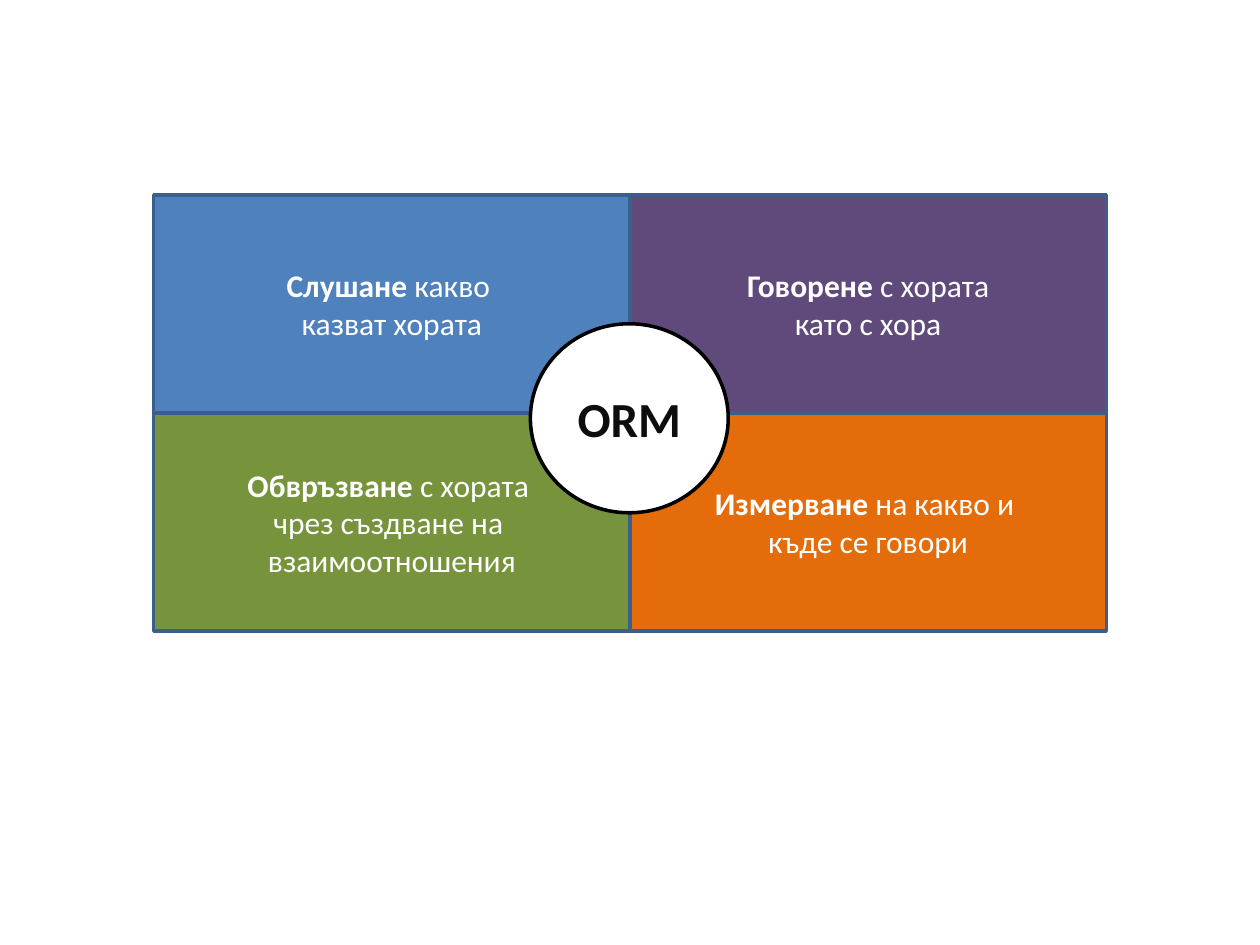
from dataclasses import dataclass

from pptx import Presentation
from pptx.dml.color import RGBColor
from pptx.enum.shapes import MSO_SHAPE
from pptx.enum.text import MSO_ANCHOR, PP_ALIGN
from pptx.util import Inches, Pt

QUADRANT = MSO_SHAPE.ROUNDED_RECTANGLE
HUB = MSO_SHAPE.OVAL
MIDDLE = MSO_ANCHOR.MIDDLE
CENTER = PP_ALIGN.CENTER
BLANK_LAYOUT = 6


@dataclass(frozen=True)
class Theme:
    font: str = "Calibri"
    body_size: int = 18
    hub_size: int = 28
    line_width: int = 2
    white: str = "FFFFFF"
    black: str = "000000"
    hub_text: str = "0D0D0D"
    border: str = "3A5F8C"
    blue: str = "4F81BD"
    purple: str = "604A7B"
    green: str = "77933C"
    orange: str = "E46C0A"


THEME = Theme()

# Matrix grid, in inches
LEFT, TOP = 1.22, 1.55
COLUMN, ROW = 3.78, 1.73
HUB_BOX = (4.21, 2.57, 1.57, 1.5)

# Column, row, fill, lines of (text, bold) runs
QUADRANTS = [
    (0, 0, THEME.blue, [[("Слушане", True), (" какво ", False)],
                        [("казват хората", False)]]),
    (1, 0, THEME.purple, [[("Говорене ", True), ("с хората", False)],
                          [("като с хора", False)]]),
    (0, 1, THEME.green, [[("Обвръзване ", True), ("с хората ", False)],
                         [("чрез създване на ", False)],
                         [("взаимоотношения", False)]]),
    (1, 1, THEME.orange, [[("Измерване", True), (" на какво и ", False)],
                          [("къде се говори", False)]]),
]


def add_panel(slide, kind, box, fill, border):
    """Add a filled, outlined shape without a shadow."""
    panel = slide.shapes.add_shape(kind, *map(Inches, box))
    panel.shadow.inherit = False
    panel.fill.solid()
    panel.fill.fore_color.rgb = RGBColor.from_string(fill)
    panel.line.color.rgb = RGBColor.from_string(border)
    panel.line.width = Pt(THEME.line_width)
    return panel


def write_lines(panel, lines, size, color):
    """Write centred paragraphs made of (text, bold) runs."""
    frame = panel.text_frame
    frame.word_wrap = True
    frame.vertical_anchor = MIDDLE
    for index, line in enumerate(lines):
        paragraph = frame.add_paragraph() if index else frame.paragraphs[0]
        paragraph.alignment = CENTER
        for text, bold in line:
            run = paragraph.add_run()
            run.text = text
            run.font.color.rgb = RGBColor.from_string(color)
            font_format = {"name": THEME.font, "size": Pt(size), "bold": bold}
            for attribute, value in font_format.items():
                setattr(run.font, attribute, value)


def add_quadrant(slide, column, row, fill, lines):
    box = (LEFT + column * COLUMN, TOP + row * ROW, COLUMN, ROW)
    quadrant = add_panel(slide, QUADRANT, box, fill, THEME.border)
    quadrant.adjustments[0] = 0
    write_lines(quadrant, lines, THEME.body_size, THEME.white)


def add_hub(slide):
    hub = add_panel(slide, HUB, HUB_BOX, THEME.white, THEME.black)
    write_lines(hub, [[("ORM", True)]], THEME.hub_size, THEME.hub_text)


def main():
    deck = Presentation()
    deck.slide_width, deck.slide_height = Inches(10), Inches(7.5)
    slide = deck.slides.add_slide(deck.slide_layouts[BLANK_LAYOUT])

    # Four quadrants, then the hub on top
    for quadrant in QUADRANTS:
        add_quadrant(slide, *quadrant)
    add_hub(slide)

    deck.save("out.pptx")


if __name__ == "__main__":
    main()
